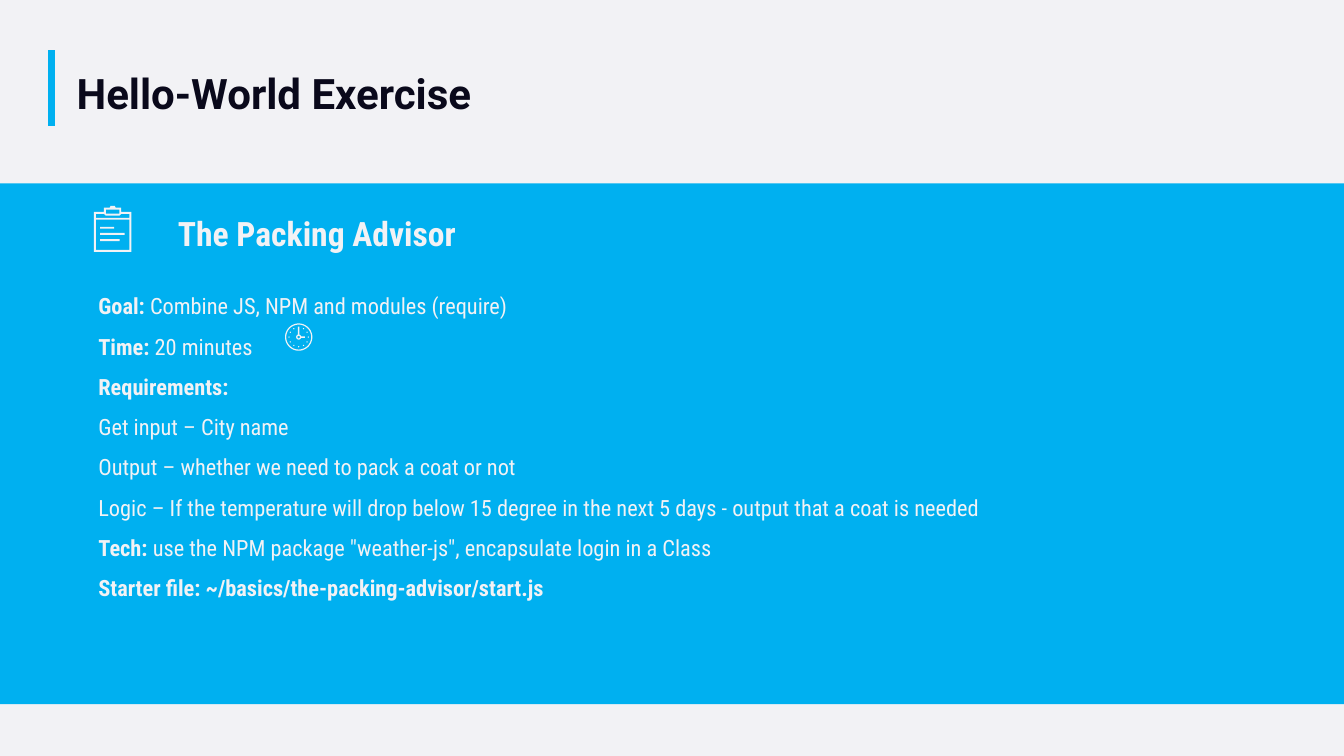
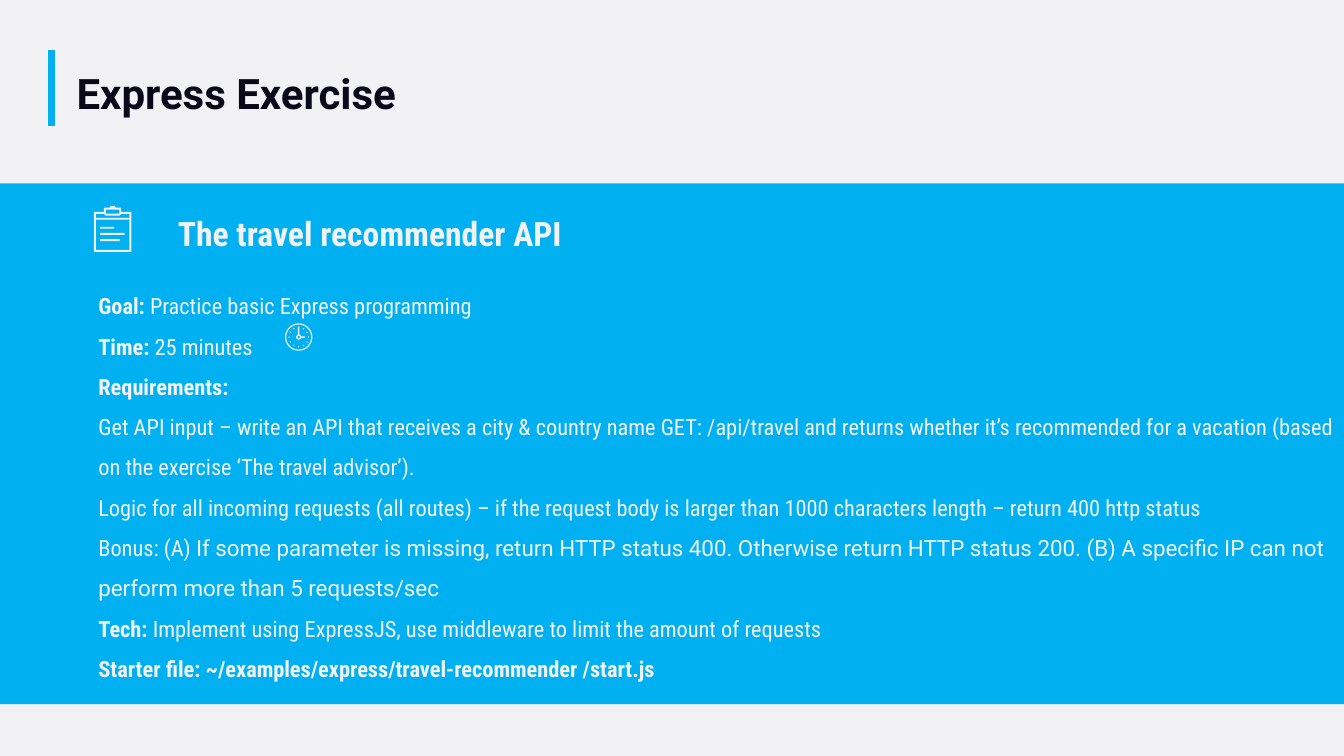
from math import cos, pi, sin

from lxml.etree import SubElement
from pptx import Presentation
from pptx.dml.color import RGBColor
from pptx.enum.shapes import MSO_CONNECTOR, MSO_SHAPE
from pptx.enum.text import MSO_ANCHOR, PP_ALIGN
from pptx.oxml.ns import qn
from pptx.util import Pt

SKY = RGBColor(0x00, 0xB0, 0xF0)
PALE = RGBColor(0xF2, 0xF2, 0xF5)
INK = RGBColor(0x0A, 0x09, 0x1B)
ROBOTO = "Roboto"
CONDENSED = "Roboto Condensed"
SLIDE_WIDTH, SLIDE_HEIGHT = 960, 540
PART_STYLES = ((CONDENSED, True), (CONDENSED, False), (ROBOTO, False))

PACKING_ADVISOR = [
    ("Goal: ", "Combine JS, NPM and modules (require)"),
    ("Time: ", "20 minutes"),
    ("Requirements:",),
    ("", "Get input – City name"),
    ("", "Output – whether we need to pack a coat or not"),
    ("", "Logic – If the temperature will drop below 15 degree in the next 5 days"
         " - output that a coat is needed"),
    ("Tech:", ' use the NPM package "weather-js", encapsulate login in a Class'),
    ("Starter file: ~/basics/the-packing-advisor/start.js",),
]
TRAVEL_RECOMMENDER = [
    ("Goal: ", "Practice basic Express programming"),
    ("Time: ", "25 minutes"),
    ("Requirements:",),
    ("", "Get API input – write an API that receives a city & country name GET: /api/travel"
         " and returns whether it’s recommended for a vacation"
         " (based on the exercise ‘The travel advisor’)."),
    ("", "Logic for all incoming requests (all routes) – if the request body is larger"
         " than 1000 characters length – return 400 http status"),
    ("", "Bonus: (A) ",
     "If some parameter is missing, return HTTP status 400. Otherwise return HTTP status 200."
     " (B) A specific IP can not perform more than 5 requests/sec"),
    ("Tech:", " Implement using ExpressJS, use middleware to limit the amount of requests"),
    ("Starter file: ~/examples/express/travel-recommender /start.js",),
]


def format_font(font, name, size, color, bold):
    """Set the look of a run."""
    font.name = name
    font.size = Pt(size)
    font.color.rgb = color
    font.bold = bold


def place(shape, left, top, width, height):
    """Move and size a shape, in points."""
    shape.left, shape.top = Pt(left), Pt(top)
    shape.width, shape.height = Pt(width), Pt(height)


def fill_plain(shape, color):
    """Give a shape a flat fill without line or shadow."""
    shape.fill.solid()
    shape.fill.fore_color.rgb = color
    shape.line.fill.background()
    shape.shadow.inherit = False


def add_title(slide, text):
    """Write the slide title in its placeholder."""
    title = slide.shapes.title
    place(title, 47.5, 14, 419, 74)
    frame = title.text_frame
    frame.text = text
    frame.word_wrap = True
    frame.vertical_anchor = MSO_ANCHOR.BOTTOM
    paragraph = frame.paragraphs[0]
    paragraph.alignment = PP_ALIGN.LEFT
    paragraph.line_spacing = 0.9
    format_font(paragraph.runs[0].font, ROBOTO, 30, INK, True)


def add_band(slide):
    """Draw the full-width blue band."""
    band = slide.shapes.add_shape(MSO_SHAPE.RECTANGLE, 0, Pt(131), Pt(SLIDE_WIDTH), Pt(372))
    fill_plain(band, SKY)


def add_text_frame(slide, left, top, width, height):
    """Add a wrapping text box and return its frame."""
    box = slide.shapes.add_textbox(Pt(left), Pt(top), Pt(width), Pt(height))
    box.text_frame.word_wrap = True
    return box.text_frame


def add_heading(slide, text):
    """Write the exercise name beside the clipboard."""
    frame = add_text_frame(slide, 120, 148.5, 456, 36)
    frame.text = text
    format_font(frame.paragraphs[0].runs[0].font, CONDENSED, 24, PALE, True)


def add_details(slide, lines):
    """Write the detail lines, each as label, text and wide text."""
    frame = add_text_frame(slide, 63.2, 195.8, 897, 294)
    for index, parts in enumerate(lines):
        paragraph = frame.add_paragraph() if index else frame.paragraphs[0]
        paragraph.line_spacing = 1.5
        for text, (name, bold) in zip(parts, PART_STYLES):
            if text:
                run = paragraph.add_run()
                run.text = text
                format_font(run.font, name, 16, PALE, bold)


def rectangle(left, top, right, bottom):
    """Return the corners of a rectangle."""
    return [(left, top), (right, top), (right, bottom), (left, bottom)]


def circle(center_x, center_y, radius, sides=48):
    """Return the corners of a many-sided circle."""
    angles = [2 * pi * side / sides for side in range(sides)]
    return [(center_x + radius * cos(angle), center_y + radius * sin(angle)) for angle in angles]


def add_icon(slide, contours):
    """Draw closed contours as one shape, inner ones cutting holes."""
    scaled = [[(Pt(x), Pt(y)) for x, y in contour] for contour in contours]
    builder = slide.shapes.build_freeform(*scaled[0][0])
    for index, (start, *others) in enumerate(scaled):
        if index:
            builder.move_to(*start)
        builder.add_line_segments(others, close=True)
    fill_plain(builder.convert_to_shape(), PALE)


def add_clipboard(slide):
    """Draw the clipboard icon."""
    board = [(67, 151.4), (74.2, 151.4), (74.2, 148.4), (78.4, 148.4), (79, 147), (82, 147),
             (82.6, 148.4), (86.6, 148.4), (86.6, 151.4), (93.8, 151.4), (93.8, 180), (67, 180)]
    strip = [(68.4, 152.8), (74.2, 152.8), (75.4, 154), (85.4, 154),
             (86.6, 152.8), (92.4, 152.8), (92.4, 155.6), (68.4, 155.6)]
    clip = rectangle(75.6, 149.8, 85.2, 152.6)
    panel = rectangle(68.4, 157, 92.4, 178.6)
    bars = [rectangle(71.5, 162 + 4.4 * row, 71.5 + width, 163.4 + 4.4 * row)
            for row, width in enumerate((10, 17.5, 14))]
    add_icon(slide, [board, strip, clip, panel, *bars])


def add_clock(slide):
    """Draw the clock icon."""
    x, y = 213.4, 240.8
    rings = [circle(x, y, radius) for radius in (9.75, 8.9, 1.8, 0.9)]
    hands = [rectangle(x - 0.5, y - 7.4, x + 0.5, y - 1.8),
             rectangle(x + 1.8, y - 0.5, x + 4.5, y + 0.5)]
    dots = [circle(dot_x, dot_y, 0.45, 8)
            for hour, (dot_x, dot_y) in enumerate(circle(x, y, 6.9, 12)) if hour != 9]
    add_icon(slide, [*rings, *hands, *dots])


def add_accent(slide, layout):
    """Draw the title's accent line and hand it to the layout."""
    line = slide.shapes.add_connector(MSO_CONNECTOR.STRAIGHT, Pt(37), Pt(36), Pt(37), Pt(90))
    line.line.color.rgb = SKY
    line.line.width = Pt(5)
    SubElement(line.element.spPr, qn("a:effectLst"))
    line.element.nvCxnSpPr.cNvPr.set("id", "20")
    layout.shapes.element.append(line.element)


def add_exercise(presentation, layout, title, heading, lines):
    """Build one exercise slide."""
    slide = presentation.slides.add_slide(layout)
    add_title(slide, title)
    add_band(slide)
    add_details(slide, lines)
    add_heading(slide, heading)
    add_clipboard(slide)
    add_clock(slide)
    return slide


def main():
    """Build and save the presentation."""
    presentation = Presentation()
    presentation.slide_width, presentation.slide_height = Pt(SLIDE_WIDTH), Pt(SLIDE_HEIGHT)
    layout = presentation.slide_layouts[5]
    layout.background.fill.solid()
    layout.background.fill.fore_color.rgb = PALE
    first_slide = add_exercise(presentation, layout, "Hello-World Exercise",
                               "The Packing Advisor", PACKING_ADVISOR)
    add_accent(first_slide, layout)
    add_exercise(presentation, layout, "Express Exercise",
                 "The travel recommender API", TRAVEL_RECOMMENDER)
    presentation.save("out.pptx")


if __name__ == "__main__":
    main()
